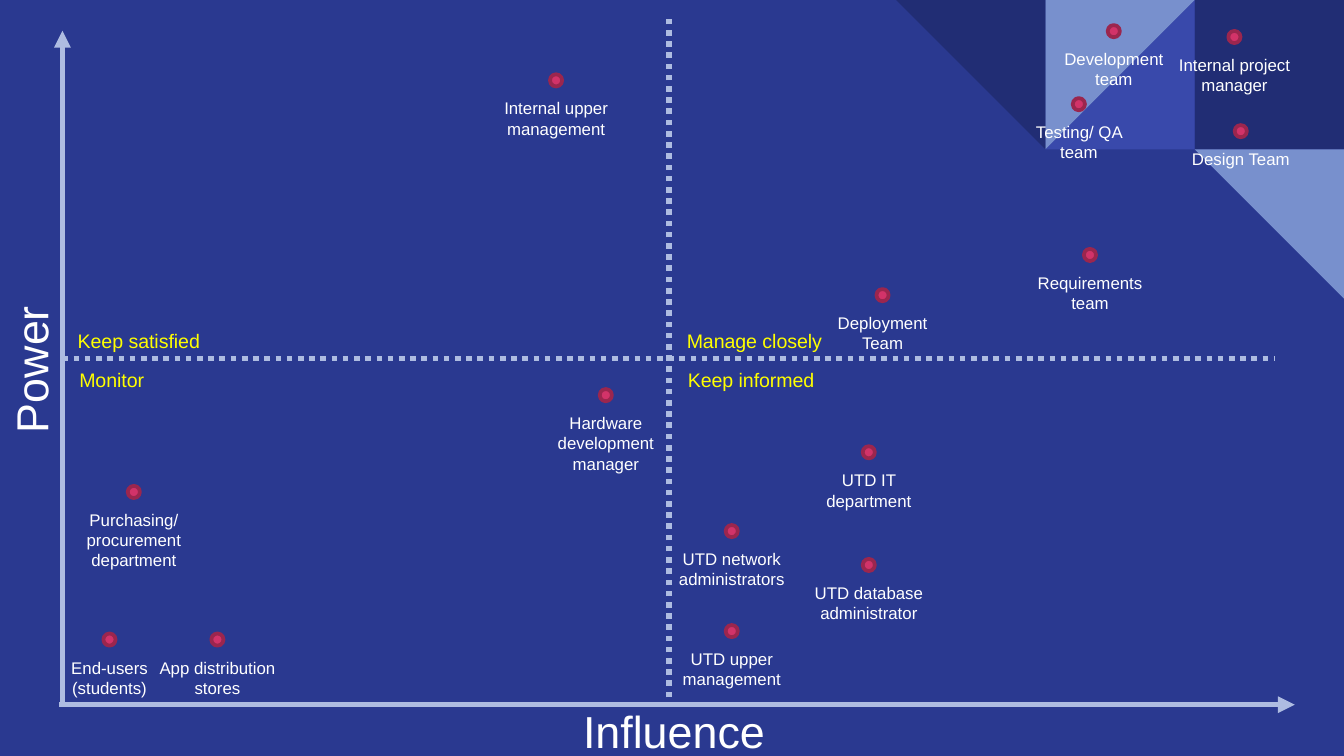
from dataclasses import dataclass

import lxml.etree
import pptx
import pptx.dml.color
import pptx.enum.dml
import pptx.enum.shapes
import pptx.enum.text
import pptx.oxml.ns
import pptx.util

Cm = pptx.util.Cm
Shape = pptx.enum.shapes.MSO_SHAPE
Align = pptx.enum.text.PP_ALIGN
qn = pptx.oxml.ns.qn


@dataclass(frozen=True)
class Theme:
    font: str = "Arial"
    background: str = "2A3990"
    dark: str = "212D74"
    mid: str = "3949AB"
    light: str = "7890CD"
    axis: str = "AEBCE1"
    text: str = "FFFFFF"
    quadrant: str = "FFFF00"
    dot: str = "D23369"
    dot_edge: str = "9B264E"
    axis_size: float = 24
    quadrant_size: float = 10.5
    label_size: float = 9
    axis_width: float = 3
    dot_edge_width: float = 2


class PowerInfluenceMap:
    DOT = 0.23
    LABEL_WIDTH = 2.8
    LABEL_GAP = 0.21

    def __init__(self, slide, theme):
        self.slide = slide
        self.theme = theme
        self.paint(slide.background.fill, theme.background)

    def paint(self, fill, color):
        fill.solid()
        fill.fore_color.rgb = pptx.dml.color.RGBColor.from_string(color)

    def shape(self, kind, x, y, size, color, rotation=0):
        shape = self.slide.shapes.add_shape(kind, Cm(x), Cm(y), Cm(size), Cm(size))
        shape.shadow.inherit = False
        shape.rotation = rotation
        self.paint(shape.fill, color)
        shape.line.fill.background()
        return shape

    def text(self, words, x, y, width, height, size, color, align=Align.LEFT, rotation=0):
        box = self.slide.shapes.add_textbox(Cm(x), Cm(y), Cm(width), Cm(height))
        box.rotation = rotation
        frame = box.text_frame
        frame.word_wrap = True
        frame.auto_size = pptx.enum.text.MSO_AUTO_SIZE.SHAPE_TO_FIT_TEXT
        frame.text = words
        paragraph = frame.paragraphs[0]
        paragraph.alignment = align
        for run in paragraph.runs:
            run.font.name = self.theme.font
            run.font.size = pptx.util.Pt(size)
            run.font.color.rgb = pptx.dml.color.RGBColor.from_string(color)

    def line(self, x1, y1, x2, y2, dotted=False):
        line = self.slide.shapes.add_connector(
            pptx.enum.shapes.MSO_CONNECTOR.STRAIGHT, Cm(x1), Cm(y1), Cm(x2), Cm(y2))
        self.paint(line.line.fill, self.theme.axis)
        line.line.width = pptx.util.Pt(self.theme.axis_width)
        properties = line._element.spPr
        if dotted:
            line.line.dash_style = pptx.enum.dml.MSO_LINE.ROUND_DOT
        else:
            outline = properties.find(qn("a:ln"))
            lxml.etree.SubElement(outline, qn("a:tailEnd"), type="triangle")
        lxml.etree.SubElement(properties, qn("a:effectLst"))

    def axis_title(self, words, x, y, width, rotation=0):
        self.text(words, x, y, width, 1.27, self.theme.axis_size, self.theme.text,
                  rotation=rotation)

    def quadrant(self, words, x, y, width):
        self.text(words, x, y, width, 0.71, self.theme.quadrant_size, self.theme.quadrant)

    def stakeholder(self, words, x, y, lines):
        dot = self.shape(Shape.OVAL, x - self.DOT / 2, y - self.DOT / 2,
                         self.DOT, self.theme.dot)
        self.paint(dot.line.fill, self.theme.dot_edge)
        dot.line.width = pptx.util.Pt(self.theme.dot_edge_width)
        self.text(words, x - self.LABEL_WIDTH / 2, y + self.LABEL_GAP,
                  self.LABEL_WIDTH, 0.25 + 0.39 * lines,
                  self.theme.label_size, self.theme.text, Align.CENTER)


def main():
    deck = pptx.Presentation()
    deck.slide_width, deck.slide_height = Cm(25.4), Cm(14.29)
    theme = Theme()
    chart = PowerInfluenceMap(deck.slides.add_slide(deck.slide_layouts[6]), theme)

    # Corner facets on a grid of ninths of the slide width
    tile = 25.4 / 9
    for kind, column, row, color, rotation in (
        (Shape.RECTANGLE, 8, 0, theme.dark, 0),
        (Shape.RIGHT_TRIANGLE, 7, 0, theme.mid, 270),
        (Shape.RIGHT_TRIANGLE, 7, 0, theme.light, 90),
        (Shape.RIGHT_TRIANGLE, 6, 0, theme.dark, 180),
        (Shape.RIGHT_TRIANGLE, 8, 1, theme.light, 180),
    ):
        chart.shape(kind, column * tile, row * tile, tile, color, rotation)

    # Axes and their titles
    chart.line(1.18, 13.34, 1.18, 0.58)
    chart.line(1.12, 13.32, 24.47, 13.32)
    chart.axis_title("Power", -1.12, 6.1, 3.4, rotation=270)
    chart.axis_title("Influence", 10.77, 13.18, 4.85)

    # Quadrant dividers and names
    chart.line(1.18, 6.78, 24.1, 6.78, dotted=True)
    chart.line(12.64, 13.18, 12.64, 0.28, dotted=True)
    upper, lower = 6.1, 6.83
    chart.quadrant("Keep satisfied", 1.22, upper, 3.12)
    chart.quadrant("Monitor", 1.25, lower, 2.59)
    chart.quadrant("Manage closely", 12.73, upper, 3.4)
    chart.quadrant("Keep informed", 12.75, lower, 4.04)

    # Stakeholders: name, centre of the dot, lines in the label
    for stakeholder in (
        ("UTD upper management", 13.83, 11.93, 2),
        ("UTD IT department", 16.42, 8.55, 2),
        ("Purchasing/ procurement department", 2.53, 9.3, 3),
        ("Design Team", 23.45, 2.48, 1),
        ("Testing/ QA team", 20.39, 1.97, 2),
        ("App distribution stores", 4.11, 12.09, 2),
        ("Internal project manager", 23.33, 0.7, 2),
        ("Development team", 21.05, 0.59, 2),
        ("Deployment Team", 16.68, 5.58, 2),
        ("Hardware development manager", 11.45, 7.47, 3),
        ("Requirements team", 20.6, 4.82, 2),
        ("UTD network administrators", 13.83, 10.04, 2),
        ("UTD database administrator", 16.42, 10.68, 2),
        ("Internal upper management", 10.51, 1.52, 2),
        ("End-users (students)", 2.07, 12.09, 2),
    ):
        chart.stakeholder(*stakeholder)

    deck.save("out.pptx")


if __name__ == "__main__":
    main()
